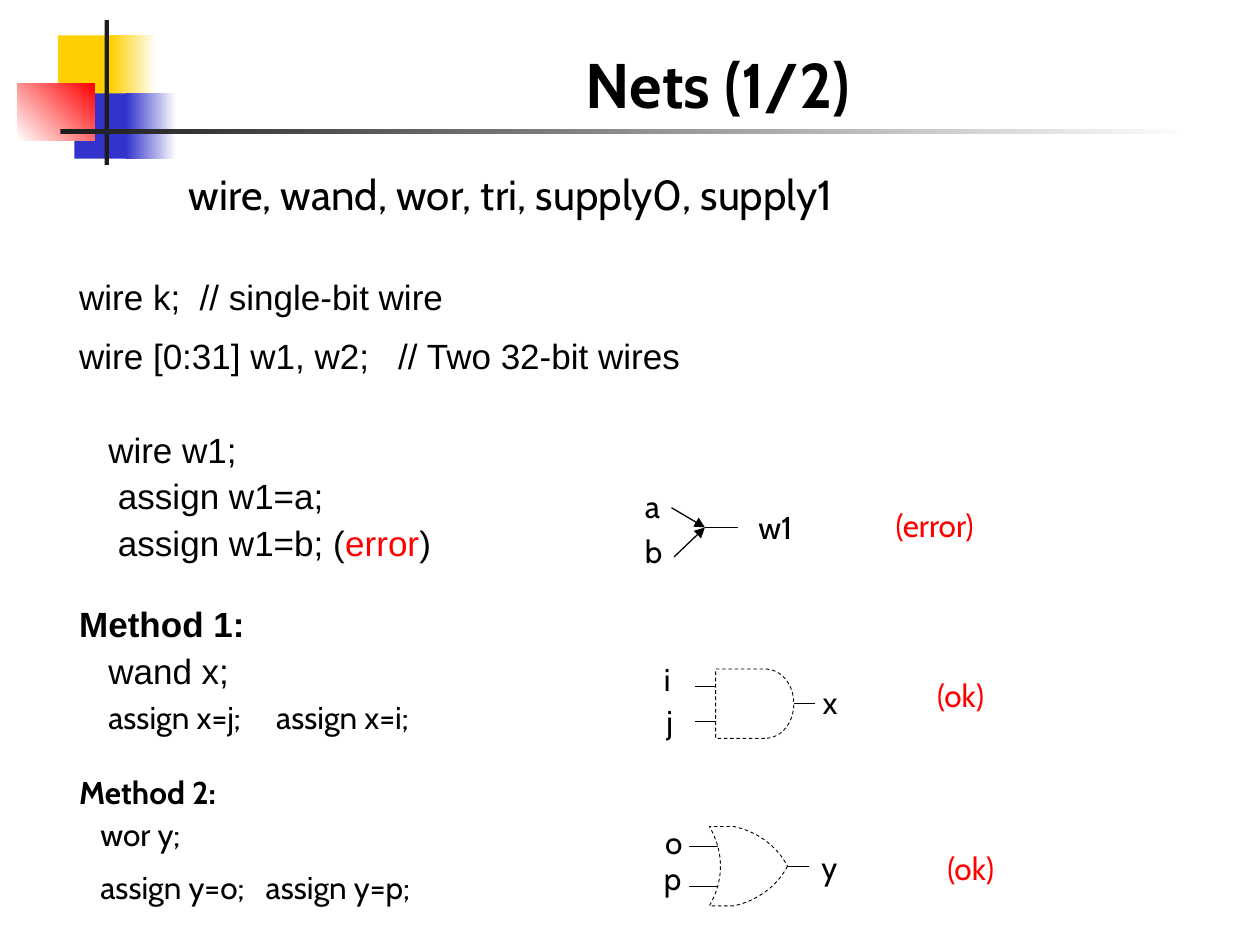
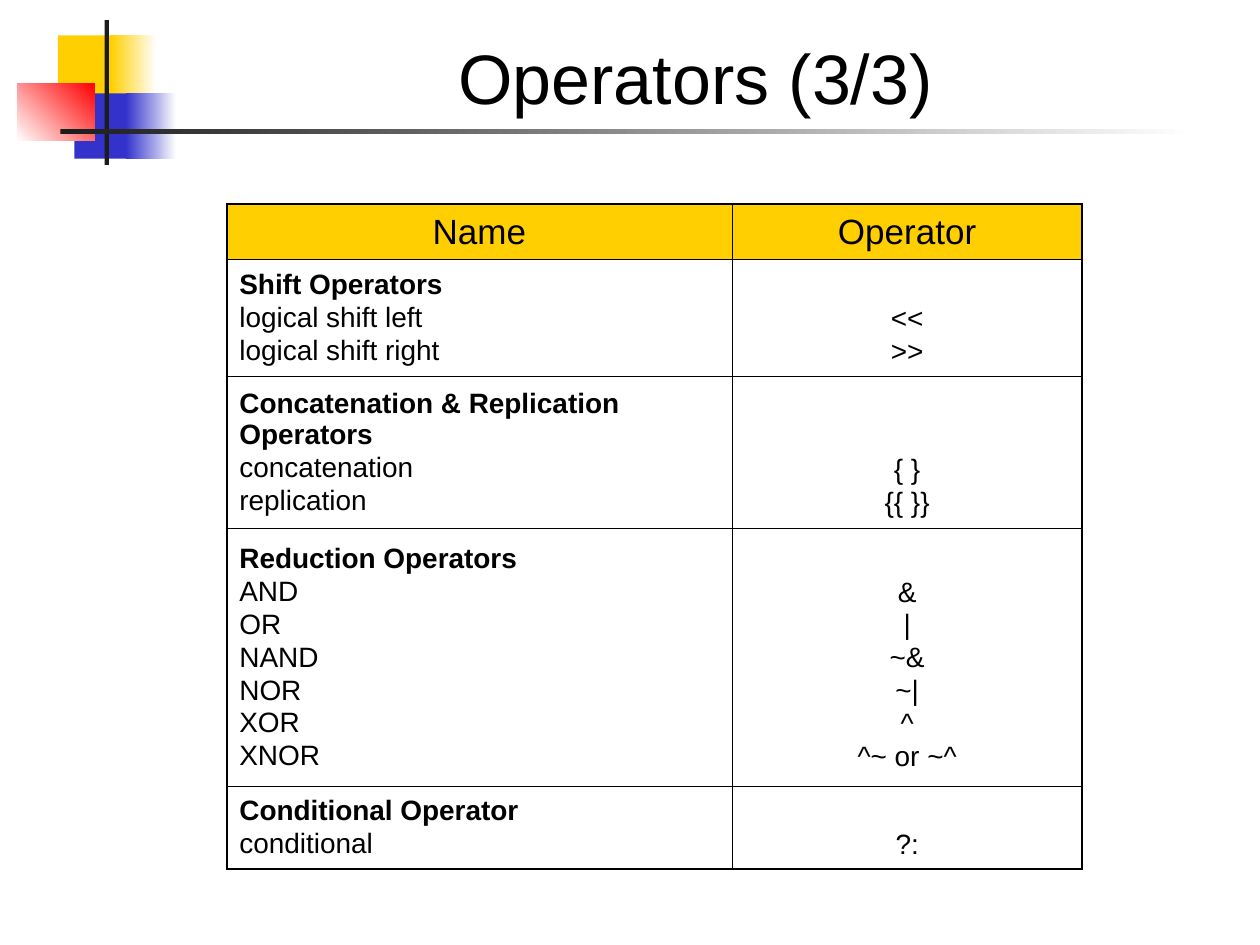
from pptx import Presentation
from pptx.dml.color import RGBColor
from pptx.enum.dml import MSO_LINE_DASH_STYLE as Dash
from pptx.enum.shapes import MSO_CONNECTOR as Connector, MSO_SHAPE as Shape
from pptx.enum.text import MSO_ANCHOR as Anchor, MSO_AUTO_SIZE as AutoSize, PP_ALIGN as Align
from pptx.oxml.ns import qn
from pptx.util import Inches, Pt
from lxml.etree import SubElement

# Grid of 100 columns by 75 rows; boxes are (column, row, columns, rows)
COLUMNS, ROWS = 100, 75
CELL = Inches(10) / COLUMNS

COLORS = {"black": "000000", "white": "FFFFFF", "red": "FF0000",
          "yellow": "FFCF01", "blue": "3333CC", "rule": "1C1C1C"}

# Text styles: font, size, bold, colour
STYLES = {
    "code": ("Arial", 20, False, "black"),
    "error": ("Arial", 20, False, "red"),
    "heading": ("Arial", 20, True, "black"),
    "small": ("Cabin", 18, False, "black"),
    "small heading": ("Cabin", 18, True, "black"),
    "verdict": ("Cabin", 18, False, "red"),
    "net types": ("Cabin", 24, False, "black"),
    "nets title": ("Cabin", 36, True, "black"),
    "operators title": ("Arial", 40, False, "black"),
    "cell": ("Arial", 16, False, "black"),
    "cell heading": ("Arial", 16, True, "black"),
}

# Master decoration: box, colours (two make a gradient), angle
DECORATION = [
    ((4.6, 2.8, 4.8, 5.2), ["yellow"], 0),
    ((8.8, 2.8, 3.6, 5.2), ["yellow", "white"], 0),
    ((5.9, 7.4, 4.6, 5.2), ["blue"], 0),
    ((10, 7.4, 4, 5.2), ["blue", "white"], 0),
    ((1.4, 6.6, 6.1, 4.6), ["white", "red"], 45),
    ((8.3, 1.6, 0.35, 11.5), ["rule"], 0),
    ((4.8, 10.25, 90, 0.35), ["rule", "white"], 0),
]

# Code lines: line spacing, space before, (text, style) spans
CODE_LINES = [
    (1.2, 0, [("wire k;  // single-bit wire", "code")]),
    (1.2, 5, [("wire [0:31] w1, w2;   // Two 32-bit wires", "code")]),
    (1.2, 25, [("   wire w1;", "code")]),
    (0.9, 5, [("    assign w1=a;", "code")]),
    (0.9, 5, [("    assign w1=b; (", "code"), ("error", "error"), (")", "code")]),
    (0.9, 25, [("Method 1:", "heading")]),
    (0.9, 5, [("   wand x;", "code")]),
    (0.9, 4.5, [("   ", "code"), ("assign x=j;     assign x=i;", "small")]),
    (0.9, 22.5, [("Method 2:", "small heading")]),
    (0.9, 4.5, [("   wor y;", "small")]),
    (1.2, 4.5, [("   assign y=o;   assign y=p;", "small")]),
]

# Gate outlines in shares of a box: two numbers a corner, six a Bézier curve
AND_OUTLINE = [(0.63, 1), (0, 1), (0, 0), (0.63, 0),
               (0.84, 0, 1, 0.22, 1, 0.5), (1, 0.78, 0.84, 1, 0.63, 1)]
OR_OUTLINE = [(1, 0.5), (0.87, 0.75, 0.61, 0.94, 0.31, 1), (0, 1),
              (0.19, 0.68, 0.19, 0.32, 0, 0), (0.31, 0),
              (0.61, 0.06, 0.87, 0.25, 1, 0.5)]

# Operator groups: row height, heading, heading lines, (name, operator) pairs
OPERATOR_GROUPS = [
    (9.3, "Shift Operators", 1,
     [("logical shift left", "<<"), ("logical shift right", ">>")]),
    (12.05, "Concatenation & Replication Operators", 2,
     [("concatenation", "{ }"), ("replication", "{{ }}")]),
    (20.5, "Reduction Operators", 1,
     [("AND", "&"), ("OR", "|"), ("NAND", "~&"), ("NOR", "~|"),
      ("XOR", "^"), ("XNOR", "^~ or ~^")]),
    (6.5, "Conditional Operator", 1, [("conditional", "?:")]),
]
HEADER_HEIGHT = 4.4
NAME_WIDTH = 40.1
CELL_LINE = 2.68


def grid(*lengths):
    return [round(length * CELL) for length in lengths]


def rgb(name):
    return RGBColor.from_string(COLORS[name])


def style_font(font, style):
    font.name, size, font.bold, color = STYLES[style]
    font.size = Pt(size)
    font.color.rgb = rgb(color)


def write_line(para, spans):
    for text, style in spans:
        span = para.add_run()
        span.text = text
        style_font(span.font, style)


def add_text(page, box, text, style):
    frame = page.shapes.add_textbox(*grid(*box)).text_frame
    frame.word_wrap = True
    frame.text = text
    style_font(frame.paragraphs[0].runs[0].font, style)


def add_label(page, corner, text, style="small"):
    add_text(page, (*corner, 3 + len(text), 4), text, style)


def add_line(page, start, end, width, arrow=False):
    line = page.shapes.add_connector(Connector.STRAIGHT, *grid(*start, *end))
    line.line.color.rgb = rgb("black")
    line.line.width = Pt(width)
    properties = line.element.spPr
    if arrow:
        SubElement(properties.find(qn("a:ln")), qn("a:tailEnd"), type="triangle")
    SubElement(properties, qn("a:effectLst"))


def decorate_master(deck, page):
    """Draw the corner blocks and rules, then move them to the master."""
    for number, (box, colors, angle) in enumerate(DECORATION):
        block = page.shapes.add_shape(Shape.RECTANGLE, *grid(*box))
        block.shadow.inherit = False
        block.line.fill.background()
        if len(colors) == 1:
            block.fill.solid()
            block.fill.fore_color.rgb = rgb(colors[0])
        else:
            block.fill.gradient()
            block.fill.gradient_angle = angle
            for stop, color in zip(block.fill.gradient_stops, colors):
                stop.color.rgb = rgb(color)
        block.element.nvSpPr.cNvPr.set("id", str(20 + number))
        deck.slide_master.shapes.element.append(block.element)


def set_title(page, box, text, style, align, anchor):
    title = page.shapes.title
    title.left, title.top, title.width, title.height = grid(*box)
    frame = title.text_frame
    frame.text = text
    frame.auto_size = AutoSize.NONE
    frame.vertical_anchor = anchor
    frame.paragraphs[0].alignment = align
    style_font(frame.paragraphs[0].runs[0].font, style)


def add_code(page, box):
    frame = page.shapes.add_textbox(*grid(*box)).text_frame
    frame.word_wrap = True
    for number, (spacing, before, spans) in enumerate(CODE_LINES):
        para = frame.add_paragraph() if number else frame.paragraphs[0]
        para.line_spacing = spacing
        para.space_before = Pt(before)
        write_line(para, spans)


def add_junction(page, box):
    """Two drivers, a and b, meeting on net w1."""
    left, top, width, height = box
    meeting = (left + width / 2, top + height * 0.4)
    add_line(page, (left, top), meeting, 0.75, arrow=True)
    add_line(page, (left + 0.2, top + height), meeting, 0.75, arrow=True)
    add_line(page, meeting, (left + width, meeting[1]), 0.75)
    add_label(page, (left - 3.1, top - 2.1), "a")
    add_label(page, (left - 3.1, top + 1.4), "b")
    add_label(page, (left + 5.9, top - 0.5), "w1")
    add_label(page, (left + 16.8, top - 0.6), "(error)", "verdict")


def curve_points(start, curve, steps=16):
    points = [start, curve[:2], curve[2:4], curve[4:]]
    for step in range(1, steps + 1):
        t = step / steps
        weights = ((1 - t) ** 3, 3 * t * (1 - t) ** 2, 3 * t * t * (1 - t), t ** 3)
        yield tuple(sum(weight * point[axis] for weight, point in zip(weights, points))
                    for axis in (0, 1))


def add_gate(page, box, outline, labels):
    """A dashed gate over its leads; label offsets count from the box corner."""
    left, top, width, height = box
    middle = left + width / 2
    for end, share in ((left - 1.6, 0.25), (left - 1.6, 0.75), (left + width + 1.7, 0.5)):
        level = top + share * height
        add_line(page, (end, level), (middle, level), 0.5)

    points = [outline[0]]
    for part in outline[1:]:
        points.extend([part] if len(part) == 2 else curve_points(points[-1], part))
    corners = [grid(left + x * width, top + y * height) for x, y in points]
    builder = page.shapes.build_freeform(*corners[0])
    builder.add_line_segments(corners[1:], close=True)
    gate = builder.convert_to_shape()
    gate.shadow.inherit = False
    gate.fill.solid()
    gate.fill.fore_color.rgb = rgb("white")
    gate.line.color.rgb = rgb("black")
    gate.line.width = Pt(0.5)
    gate.line.dash_style = Dash.DASH

    for text, across, down in labels:
        style = "verdict" if text == "(ok)" else "small"
        add_label(page, (left + across, top + down), text, style)


def build_nets(page):
    set_title(page, (45.5, 3.1, 26.1, 7), "Nets (1/2)", "nets title", Align.LEFT, Anchor.TOP)
    add_text(page, (14, 12.9, 60, 5), "wire, wand, wor, tri, supply0, supply1", "net types")
    add_code(page, (5.3, 20.7, 91.7, 52.3))
    add_junction(page, (53.3, 40.3, 5.3, 3.9))
    add_gate(page, (56.8, 53.1, 6.2, 5.5), AND_OUTLINE,
             [("i", -5.1, -1.2), ("j", -4.9, 2.1), ("x", 7.5, 0.6), ("(ok)", 16.6, 0.1)])
    add_gate(page, (56.3, 65.6, 6.2, 6.3), OR_OUTLINE,
             [("o", -4.5, -0.8), ("p", -4.6, 2.1), ("y", 7.9, 1.2), ("(ok)", 17.9, 1.3)])


def set_borders(cell, outer_sides):
    properties = cell._tc.get_or_add_tcPr()
    for side in "LRTB":
        width = Pt(1.08 if side in outer_sides else 0.45)
        border = SubElement(properties, qn(f"a:ln{side}"), w=str(width))
        fill = SubElement(border, qn("a:solidFill"))
        SubElement(fill, qn("a:srgbClr"), val=COLORS["black"])


def fill_cell(cell, lines, align, before=1, skipped=0):
    """Write (text, style) lines below a number of skipped line heights."""
    cell.vertical_anchor = Anchor.MIDDLE
    cell.margin_top = grid(0.5 + skipped * CELL_LINE)[0]
    for number, line in enumerate(lines):
        para = cell.text_frame.add_paragraph() if number else cell.text_frame.paragraphs[0]
        para.alignment = align
        para.space_before = Pt(before if number else 0)
        write_line(para, [line])


def add_operator_table(page, box):
    heights = [HEADER_HEIGHT] + [group[0] for group in OPERATOR_GROUPS]
    table = page.shapes.add_table(len(heights), 2, *grid(*box)).table
    table.horz_banding = False
    for column, width in zip(table.columns, grid(NAME_WIDTH, box[2] - NAME_WIDTH)):
        column.width = width

    for number, height in enumerate(heights):
        table.rows[number].height = grid(height)[0]
        edges = ("T" if number == 0 else "") + ("B" if number == len(heights) - 1 else "")
        for column, side in enumerate("LR"):
            cell = table.cell(number, column)
            set_borders(cell, edges + side)
            if number:
                cell.fill.background()
            else:
                cell.fill.solid()
                cell.fill.fore_color.rgb = rgb("yellow")
                fill_cell(cell, [(("Name", "Operator")[column], "code")], Align.CENTER)

    for number, (_, heading, heading_lines, pairs) in enumerate(OPERATOR_GROUPS, 1):
        names = [(heading, "cell heading")] + [(name, "cell") for name, _ in pairs]
        fill_cell(table.cell(number, 0), names, Align.LEFT)
        operators = [(operator, "cell") for _, operator in pairs]
        fill_cell(table.cell(number, 1), operators, Align.CENTER, skipped=heading_lines)


def build_operators(page):
    set_title(page, (12.6, 1.5, 85.2, 8.4), "Operators (3/3)", "operators title",
              Align.CENTER, Anchor.BOTTOM)
    add_operator_table(page, (18, 16.2, 67.9, 52.75))


def main():
    deck = Presentation()
    deck.slide_width, deck.slide_height = grid(COLUMNS, ROWS)
    title_only = deck.slide_layouts[5]
    nets, operators = (deck.slides.add_slide(title_only) for _ in range(2))
    decorate_master(deck, nets)
    build_nets(nets)
    build_operators(operators)
    deck.save("out.pptx")


if __name__ == "__main__":
    main()
